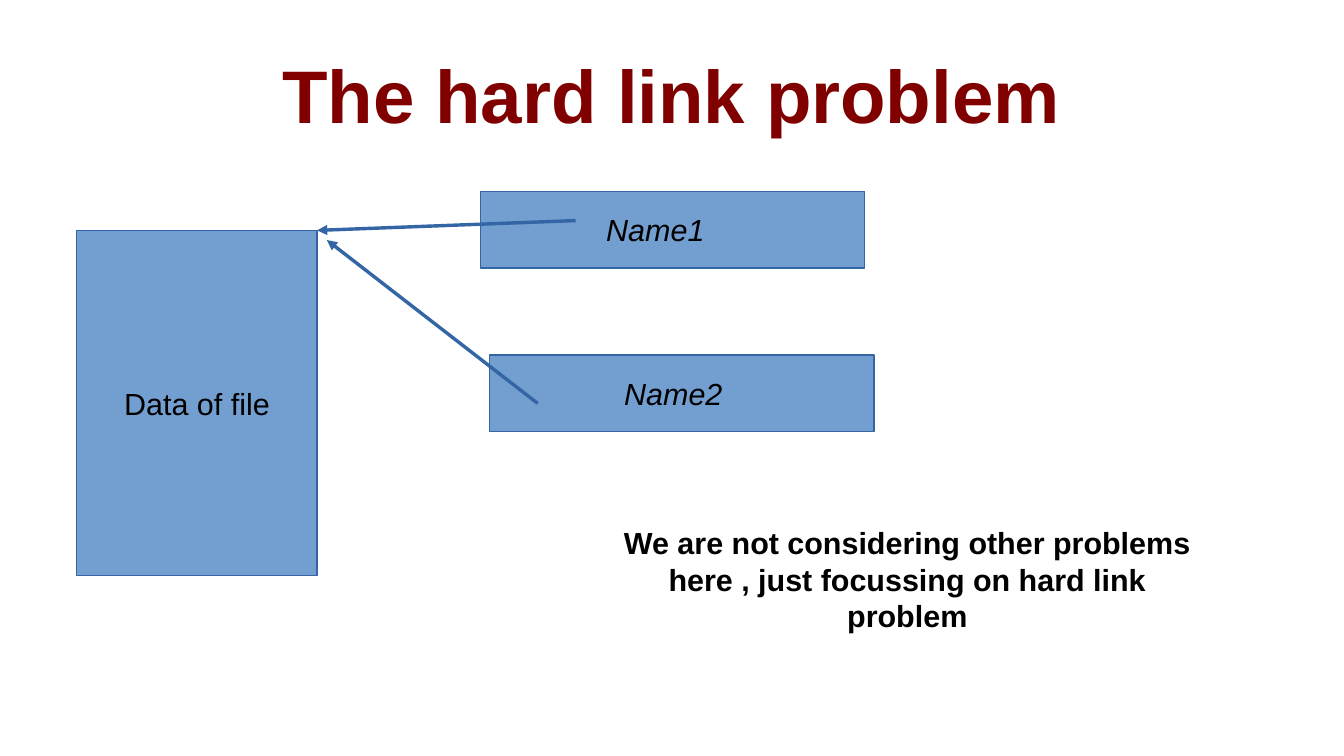
from lxml.etree import SubElement
from pptx import Presentation
from pptx.dml.color import RGBColor
from pptx.enum.shapes import MSO_CONNECTOR as CONNECTOR, MSO_SHAPE as SHAPE
from pptx.enum.text import MSO_ANCHOR as ANCHOR, PP_ALIGN as ALIGN
from pptx.oxml.ns import qn
from pptx.util import Pt

COLORS = {"title": "800000", "box": "729FCF", "line": "3465A4", "text": "000000"}


def color(name):
    return RGBColor.from_string(COLORS[name])


def write(frame, text, size, ink="text", bold=False, italic=False):
    frame.word_wrap = True
    paragraph = frame.paragraphs[0]
    paragraph.text = text
    paragraph.alignment = ALIGN.CENTER
    font = paragraph.font
    font.name, font.size = "Arial", Pt(size)
    font.bold, font.italic = bold, italic
    font.color.rgb = color(ink)


prs = Presentation()
prs.slide_width, prs.slide_height = Pt(793.5), Pt(446.5)
slide = prs.slides.add_slide(prs.slide_layouts[5])
shapes = slide.shapes

# Title
title = shapes.title
title.left, title.top, title.width, title.height = Pt(39.6), Pt(18), Pt(714.2), Pt(74.9)
frame = title.text_frame
frame.margin_left = frame.margin_right = frame.margin_top = frame.margin_bottom = 0
frame.vertical_anchor = ANCHOR.MIDDLE
write(frame, "The hard link problem", 44, "title", bold=True)

# File data and its two names; the right inset moves a name left of centre
boxes = [
    ("Data of file", 45.4, 136.1, 141.8, 203.8, 7.2, False),
    ("Name1", 283.5, 113, 226.8, 45.4, 27, True),
    ("Name2", 289.2, 209.7, 226.8, 45.4, 17.2, True),
]
for label, left, top, width, height, right_inset, italic in boxes:
    box = shapes.add_shape(SHAPE.RECTANGLE, Pt(left), Pt(top), Pt(width), Pt(height))
    box.shadow.inherit = False
    box.fill.solid()
    box.fill.fore_color.rgb = color("box")
    box.line.color.rgb = color("line")
    box.line.width = Pt(0)
    box.text_frame.margin_right = Pt(right_inset)
    box.text_frame.vertical_anchor = ANCHOR.MIDDLE
    write(box.text_frame, label, 18, italic=italic)

# Hard links from the names to the data
links = [(339.8, 130.3, 187.2, 136.1), (317.5, 238.3, 193, 141.8)]
for ends in links:
    link = shapes.add_connector(CONNECTOR.STRAIGHT, *map(Pt, ends))
    link.line.color.rgb = color("line")
    link.line.width = Pt(0)
    SubElement(link.line._get_or_add_ln(), qn("a:tailEnd"), type="triangle")
    SubElement(link._element.spPr, qn("a:effectLst"))

# Remark
remark = shapes.add_textbox(Pt(351.4), Pt(306), Pt(368.6), Pt(67.7))
write(
    remark.text_frame,
    "We are not considering other problems here , just focussing on hard link problem",
    18,
    bold=True,
)

prs.save("out.pptx")
